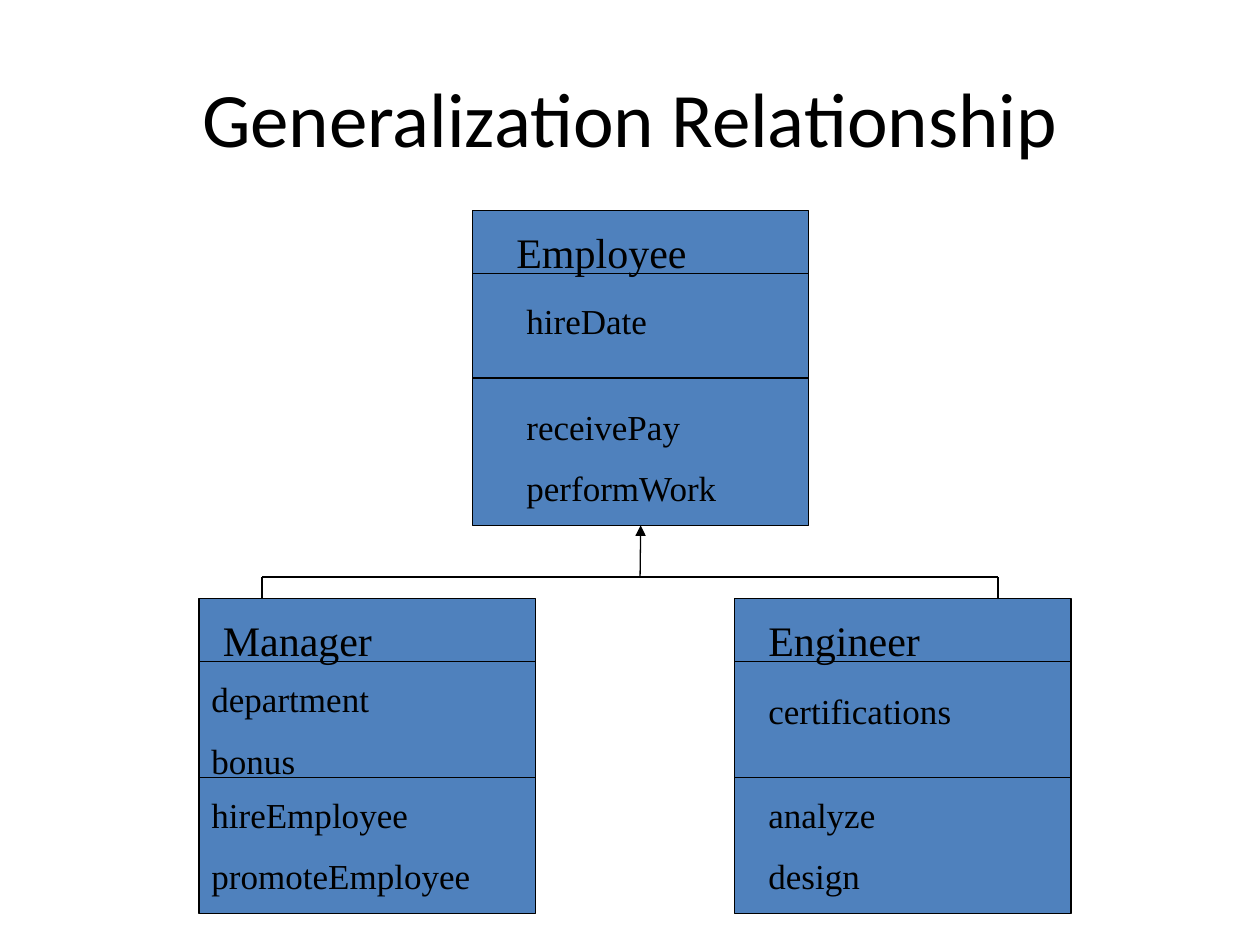
from pptx import Presentation
from pptx import util as u
from pptx.dml.color import RGBColor
from pptx.enum import shapes, text
from pptx.oxml import ns, xmlchemy

COLORS = {"ink": "000000", "box": "4F81BD"}
BOX_WIDTH, BOX_HEIGHT = 2.67, 2.5
NAME_HEIGHT = 0.5
LINE_WIDTH = u.Pt(0.75)

CLASSES = [
    {"at": (3.75, 1.67), "divider": 1.33, "texts": [
        (4, 1.75, 2, 0.4, 24, ["Employee"]),
        (4.08, 2.33, 1.67, 0.43, 20, ["hireDate"]),
        (4.08, 3.17, 2, 0.93, 20, ["receivePay", "performWork"])]},
    {"at": (1.58, 4.75), "divider": 1.42, "texts": [
        (1.67, 4.83, 2.42, 0.4, 24, ["Manager"]),
        (1.58, 5.33, 2.67, 0.93, 20, ["department", "bonus"]),
        (1.58, 6.25, 2.5, 0.93, 20, ["hireEmployee", "promoteEmployee"])]},
    {"at": (5.83, 4.75), "divider": 1.42, "texts": [
        (6, 4.83, 2, 0.4, 24, ["Engineer"]),
        (6, 5.42, 2.42, 0.43, 20, ["certifications"]),
        (6, 6.25, 2.25, 0.93, 20, ["analyze", "design"])]},
]


def color(name):
    return RGBColor.from_string(COLORS[name])


def add_text(slide, left, top, width, height, size, lines, font="Times New Roman"):
    shape = slide.shapes.add_textbox(*map(u.Inches, (left, top, width, height)))
    frame = shape.text_frame
    frame.word_wrap = True
    for index, line in enumerate(lines):
        paragraph = frame.add_paragraph() if index else frame.paragraphs[0]
        if index:
            paragraph.space_before = u.Pt(size * 0.55)
        run = paragraph.add_run()
        run.text = line
        run.font.name = font
        run.font.size = u.Pt(size)
        run.font.color.rgb = color("ink")
    return frame


def add_title(slide, title):
    frame = add_text(slide, 0.5, 0.3, 9, 1.25, 44, [title], "Calibri")
    frame.vertical_anchor = text.MSO_ANCHOR.MIDDLE
    frame.paragraphs[0].alignment = text.PP_ALIGN.CENTER


def add_line(slide, x1, y1, x2, y2):
    line = slide.shapes.add_connector(
        shapes.MSO_CONNECTOR.STRAIGHT, *map(u.Inches, (x1, y1, x2, y2)))
    line.line.color.rgb = color("ink")
    line.line.width = LINE_WIDTH
    properties = line._element.spPr
    properties.append(xmlchemy.OxmlElement("a:effectLst"))
    return line


def add_arrowhead(line):
    tail = xmlchemy.OxmlElement("a:tailEnd")
    tail.set("type", "triangle")
    line._element.spPr.find(ns.qn("a:ln")).append(tail)


def add_class(slide, at, divider, texts):
    left, top = at
    box = slide.shapes.add_shape(
        shapes.MSO_SHAPE.RECTANGLE,
        *map(u.Inches, (left, top, BOX_WIDTH, BOX_HEIGHT)))
    box.shadow.inherit = False
    box.fill.solid()
    box.fill.fore_color.rgb = color("box")
    box.line.color.rgb = color("ink")
    box.line.width = LINE_WIDTH
    for item in texts:
        add_text(slide, *item)
    for offset in (NAME_HEIGHT, divider):
        add_line(slide, left, top + offset, left + BOX_WIDTH, top + offset)
    return box


def add_generalization(slide, parent):
    left, right, center = 2.08, 7.92, 5.08
    branch, child_top, parent_bottom = 4.58, 4.75, 4.17
    for x in (left, right):
        add_line(slide, x, child_top, x, branch)
    add_line(slide, left, branch, right, branch)
    arrow = add_line(slide, center, branch, center, parent_bottom)
    arrow.end_connect(parent, 2)
    add_arrowhead(arrow)


def main():
    presentation = Presentation()
    presentation.slide_width = u.Inches(10)
    presentation.slide_height = u.Inches(7.5)
    slide = presentation.slides.add_slide(presentation.slide_layouts[6])
    add_title(slide, "Generalization Relationship")
    boxes = [add_class(slide, **entry) for entry in CLASSES]
    add_generalization(slide, boxes[0])
    presentation.save("out.pptx")


if __name__ == "__main__":
    main()
